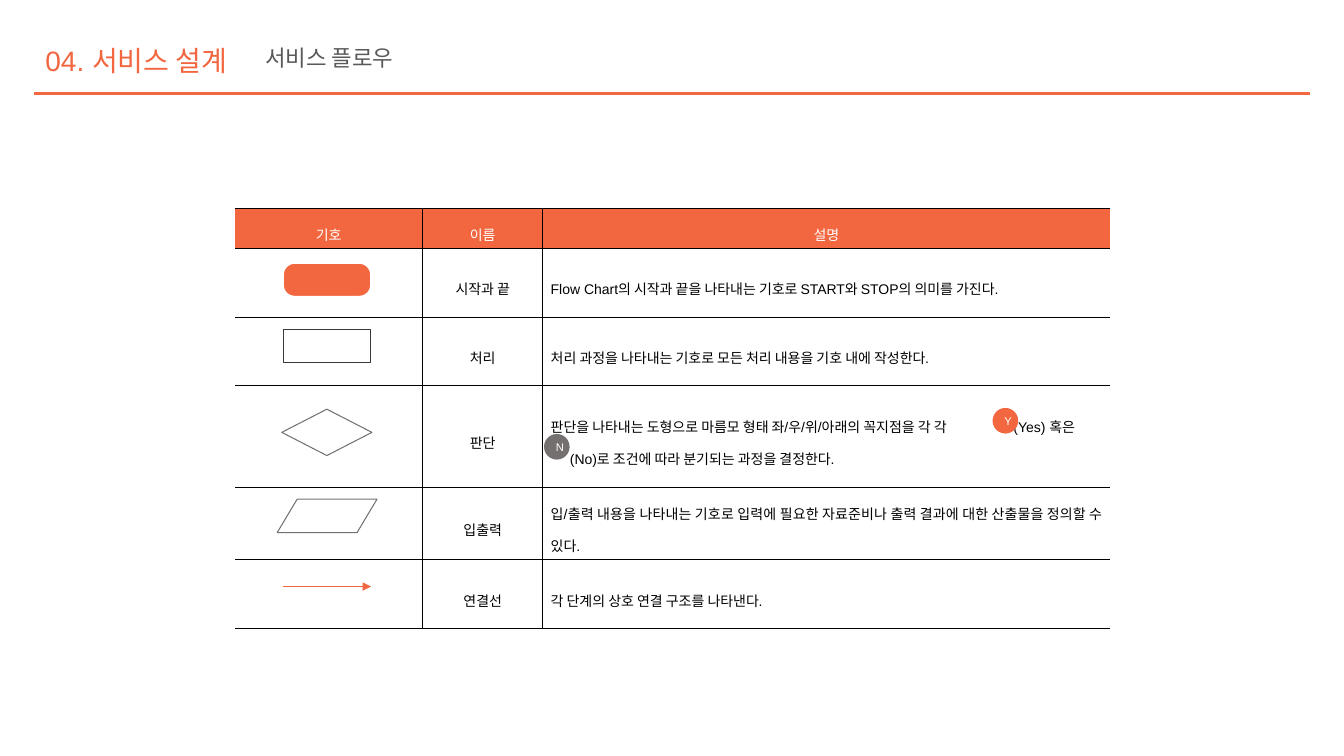
from lxml import etree
from pptx import Presentation
from pptx.dml.color import RGBColor
from pptx.enum.shapes import MSO_CONNECTOR, MSO_SHAPE
from pptx.enum.text import MSO_ANCHOR, MSO_AUTO_SIZE, PP_ALIGN
from pptx.oxml import parse_xml
from pptx.oxml.ns import qn
from pptx.util import Pt

COLORS = {
    "orange": "F26640",
    "gray": "757070",
    "dark": "3A3838",
    "subtitle": "595959",
    "black": "000000",
    "white": "FFFFFF",
}
FONT = "Arial"
DRAWING_NS = "http://schemas.openxmlformats.org/drawingml/2006/main"

TABLE_LEFT, TABLE_TOP = 167.8, 149
COLUMN_WIDTHS = [134, 86, 405]
ROW_HEIGHTS = [24.5, 49, 49, 72.7, 49, 49]
HEADINGS = ["기호", "이름", "설명"]
LEGEND = [
    ("시작과 끝", ["Flow Chart의 시작과 끝을 나타내는 기호로 START와 STOP의 의미를 가진다."]),
    ("처리", ["처리 과정을 나타내는 기호로 모든 처리 내용을 기호 내에 작성한다."]),
    ("판단", ["판단을 나타내는 도형으로 마름모 형태 좌/우/위/아래의 꼭지점을 각 각\t(Yes) 혹은",
            "(No)로 조건에 따라 분기되는 과정을 결정한다."]),
    ("입출력", ["입/출력 내용을 나타내는 기호로 입력에 필요한 자료준비나 출력 결과에 대한 산출물을 정의할 수 있다."]),
    ("연결선", ["각 단계의 상호 연결 구조를 나타낸다."]),
]
YES_TAB = 330.5
NO_INDENT = 13.7


def rgb(name):
    return RGBColor.from_string(COLORS[name])


def format_paragraph(paragraph, size, color, align, spacing=1.0):
    paragraph.alignment = align
    paragraph.line_spacing = spacing
    paragraph.font.size = Pt(size)
    paragraph.font.name = FONT
    paragraph.font.color.rgb = rgb(color)


def fill_heading(shape, box, text, size, color):
    shape.left, shape.top, shape.width, shape.height = map(Pt, box)
    frame = shape.text_frame
    frame.word_wrap = True
    frame.auto_size = MSO_AUTO_SIZE.NONE
    frame.vertical_anchor = MSO_ANCHOR.MIDDLE
    frame.text = text
    format_paragraph(frame.paragraphs[0], size, color, PP_ALIGN.LEFT, 1.5)


def add_line(slide, start, end, width, arrow=False):
    line = slide.shapes.add_connector(MSO_CONNECTOR.STRAIGHT, *map(Pt, start + end))
    line.line.width = Pt(width)
    line.line.color.rgb = rgb("orange")
    properties = line._element.spPr
    if arrow:
        etree.SubElement(properties.find(qn("a:ln")), qn("a:tailEnd"), type="triangle")
    etree.SubElement(properties, qn("a:effectLst"))


def add_symbol(slide, kind, box, fill=None, line=None, line_width=0.75):
    shape = slide.shapes.add_shape(kind, *map(Pt, box))
    shape.shadow.inherit = False
    if fill:
        shape.fill.solid()
        shape.fill.fore_color.rgb = rgb(fill)
    else:
        shape.fill.background()
    if line:
        shape.line.color.rgb = rgb(line)
        shape.line.width = Pt(line_width)
    else:
        shape.line.fill.background()
    return shape


def add_badge(slide, letter, left, top, fill):
    badge = add_symbol(slide, MSO_SHAPE.OVAL, (left, top, 18.3, 18.3), fill)
    frame = badge.text_frame
    frame.word_wrap = True
    frame.vertical_anchor = MSO_ANCHOR.MIDDLE
    frame.text = letter
    format_paragraph(frame.paragraphs[0], 8, "white", PP_ALIGN.CENTER)


def set_borders(cell, hidden_side):
    """Draw thin black borders, leaving the table's outer side open."""
    properties = cell._tc.get_or_add_tcPr()
    for index, side in enumerate("LRTB"):
        paint = (
            "<a:noFill/>" if side == hidden_side
            else f'<a:solidFill><a:srgbClr val="{COLORS["black"]}"/></a:solidFill>'
        )
        border = f'<a:ln{side} xmlns:a="{DRAWING_NS}" w="{Pt(0.75)}">{paint}</a:ln{side}>'
        properties.insert(index, parse_xml(border))


def fill_cell(cell, lines, color, align):
    cell.vertical_anchor = MSO_ANCHOR.MIDDLE
    cell.margin_left = cell.margin_right = Pt(5.6)
    cell.margin_top = cell.margin_bottom = Pt(2.8)
    cell.text = "\n".join(lines)
    for paragraph in cell.text_frame.paragraphs:
        format_paragraph(paragraph, 10, color, align, 1.6)


def make_room_for_badges(cell):
    first, second = cell.text_frame.paragraphs
    tabs = etree.SubElement(first._p.get_or_add_pPr(), qn("a:tabLst"))
    etree.SubElement(tabs, qn("a:tab"), pos=str(Pt(YES_TAB)), algn="l")
    # The tab list precedes the default run properties
    defaults = first._p.pPr.find(qn("a:defRPr"))
    if defaults is not None:
        defaults.addprevious(tabs)
    second._p.get_or_add_pPr().set("marL", str(Pt(NO_INDENT)))


def add_legend_table(slide):
    frame = slide.shapes.add_table(
        len(ROW_HEIGHTS), len(COLUMN_WIDTHS), Pt(TABLE_LEFT), Pt(TABLE_TOP),
        Pt(sum(COLUMN_WIDTHS)), Pt(sum(ROW_HEIGHTS)))
    table = frame.table
    table.first_row = table.horz_banding = False
    for column, width in zip(table.columns, COLUMN_WIDTHS):
        column.width = Pt(width)
    for row, height in zip(table.rows, ROW_HEIGHTS):
        row.height = Pt(height)

    # Header row
    for index, heading in enumerate(HEADINGS):
        cell = table.cell(0, index)
        cell.fill.solid()
        cell.fill.fore_color.rgb = rgb("orange")
        fill_cell(cell, [heading], "white", PP_ALIGN.CENTER)

    # Legend rows: the first column holds the drawn symbols
    for row, (name, description) in enumerate(LEGEND, start=1):
        for column in range(len(COLUMN_WIDTHS)):
            table.cell(row, column).fill.background()
        fill_cell(table.cell(row, 1), [name], "black", PP_ALIGN.CENTER)
        fill_cell(table.cell(row, 2), description, "black", PP_ALIGN.JUSTIFY)
        if len(description) > 1:
            make_room_for_badges(table.cell(row, 2))

    for row in table.rows:
        for cell, hidden_side in zip(row.cells, ("L", None, "R")):
            set_borders(cell, hidden_side)


def add_flow_symbols(slide):
    terminal = add_symbol(slide, MSO_SHAPE.ROUNDED_RECTANGLE,
                          (202.3, 188, 62.6, 23.8), "orange", "white", 1)
    terminal.adjustments[0] = 0.34
    add_symbol(slide, MSO_SHAPE.RECTANGLE, (202.3, 235.4, 62.6, 23.8), line="dark")
    add_symbol(slide, MSO_SHAPE.FLOWCHART_DECISION, (201.3, 292.3, 64.4, 33.1), line="gray")
    add_symbol(slide, MSO_SHAPE.FLOWCHART_DATA, (198, 356.6, 71.3, 23.8), line="gray")
    add_line(slide, (202.3, 419), (265, 419), 0.75, arrow=True)
    add_badge(slide, "Y", 709, 291.4, "orange")
    add_badge(slide, "N", 388.6, 310, "gray")


def main():
    presentation = Presentation()
    presentation.slide_width, presentation.slide_height = Pt(960), Pt(540)
    slide = presentation.slides.add_slide(presentation.slide_layouts[5])

    # Heading
    fill_heading(slide.shapes.title, (25.2, 17.3, 158, 38.9), "04. 서비스 설계", 20, "orange")
    subtitle = slide.shapes.add_textbox(0, 0, 0, 0)
    fill_heading(subtitle, (182.2, 20.2, 480, 32.4), "서비스 플로우", 16, "subtitle")
    add_line(slide, (24, 67), (936, 67), 2)

    # Flow chart legend
    add_legend_table(slide)
    add_flow_symbols(slide)

    presentation.save("out.pptx")


if __name__ == "__main__":
    main()
